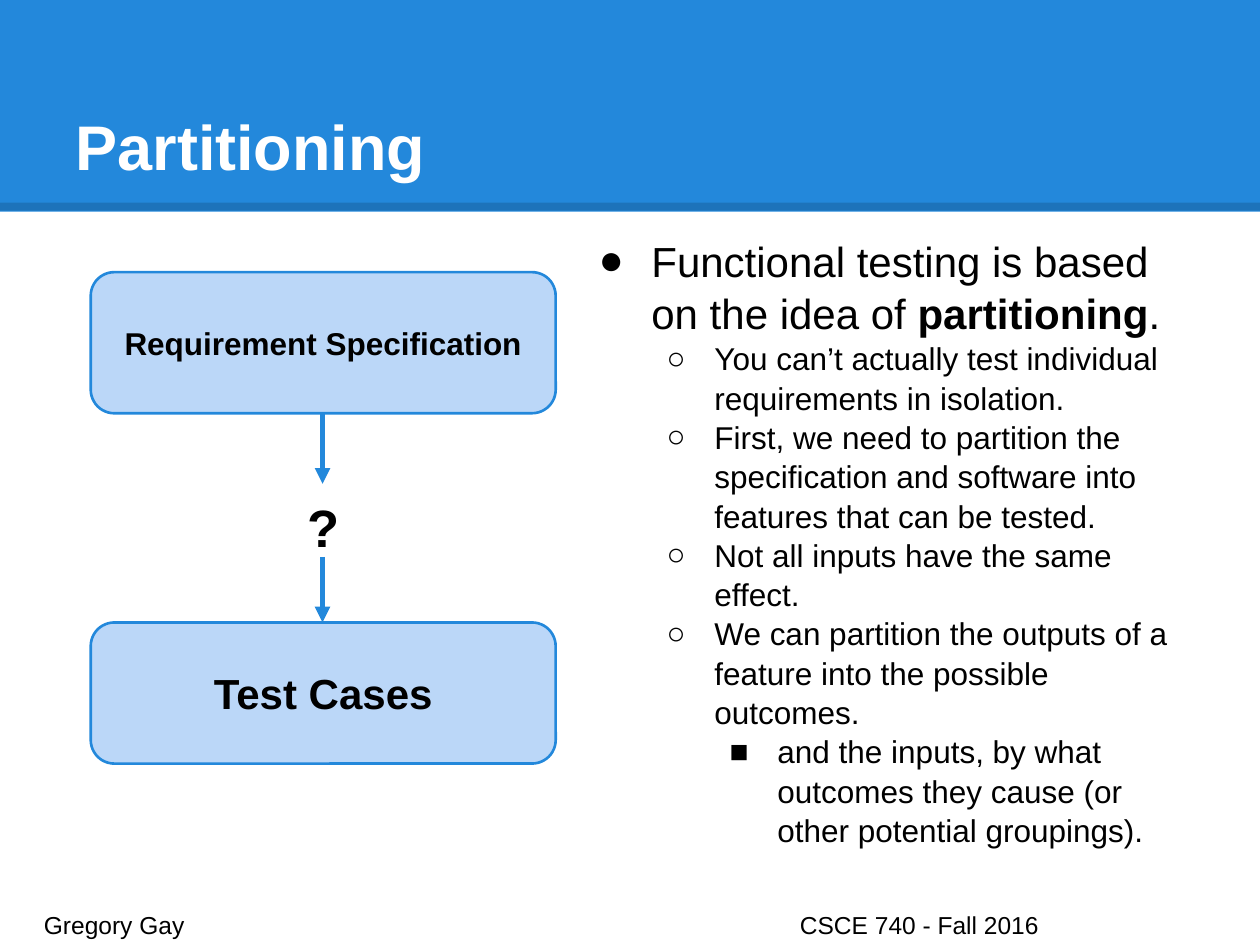
from lxml import etree
from pptx import Presentation
from pptx.dml.color import RGBColor
from pptx.enum import shapes, text
from pptx.oxml import ns
from pptx.util import Inches, Pt

BLUE = RGBColor(0x23, 0x88, 0xDB)
PALE_BLUE = RGBColor(0xBB, 0xD7, 0xF8)
WHITE = RGBColor(0xFF, 0xFF, 0xFF)
BLACK = RGBColor(0x00, 0x00, 0x00)

BULLETS = [
    (0, ["Functional testing is based on the idea of ", "partitioning", "."]),
    (1, ["You can’t actually test individual requirements in isolation."]),
    (1, ["First, we need to partition the specification and software into features that can be tested."]),
    (1, ["Not all inputs have the same effect."]),
    (1, ["We can partition the outputs of a feature into the possible outcomes."]),
    (2, ["and the inputs, by what outcomes they cause (or other potential groupings)."]),
]
LEVELS = [("●", 24, -0.42), ("○", 18, -0.38), ("■", 18, -0.38)]


def add_xml(parent, tag, **attributes):
    return etree.SubElement(parent, ns.qn(tag), attributes)


class SlideBuilder:
    """Draws styled elements on the current slide."""

    font = "Arial"
    margin = Inches(0.1)

    def __init__(self, page):
        self.page = page

    def frame(self, shape, anchor):
        frame = shape.text_frame
        frame.word_wrap = True
        frame.auto_size = text.MSO_AUTO_SIZE.NONE
        frame.vertical_anchor = anchor
        frame.margin_left = frame.margin_right = self.margin
        frame.margin_top = frame.margin_bottom = self.margin
        return frame

    def style(self, span, size, color=BLACK, bold=False):
        span.font.name = self.font
        span.font.size = Pt(size)
        span.font.color.rgb = color
        span.font.bold = bold

    def fill_text(self, shape, words, size, color=BLACK, bold=True,
                  align=text.PP_ALIGN.CENTER, anchor=text.MSO_ANCHOR.TOP):
        frame = self.frame(shape, anchor)
        frame.text = words
        para = frame.paragraphs[0]
        para.alignment = align
        for span in para.runs:
            self.style(span, size, color, bold)
        return para

    def place(self, shape, left, top, width, height):
        shape.left, shape.top = Inches(left), Inches(top)
        shape.width, shape.height = Inches(width), Inches(height)
        shape.element.getparent().append(shape.element)
        return shape

    def block(self, kind, fill, left, top, width, height):
        box = self.page.shapes.add_shape(
            kind, Inches(left), Inches(top), Inches(width), Inches(height))
        box.shadow.inherit = False
        box.fill.solid()
        box.fill.fore_color.rgb = fill
        box.line.fill.background()
        return box

    def line(self, start, end, color, width):
        line = self.page.shapes.add_connector(
            shapes.MSO_CONNECTOR.STRAIGHT, *map(Inches, start + end))
        line.line.color.rgb = color
        line.line.width = Pt(width)
        add_xml(line.element.spPr, "a:effectLst")
        return line

    def banner(self):
        self.block(shapes.MSO_SHAPE.RECTANGLE, BLUE, 0, 0, 10, 1.68)
        edge = self.line((0, 1.64), (10, 1.64), BLACK, 4.5)
        color = edge.element.spPr.find(".//" + ns.qn("a:srgbClr"))
        add_xml(color, "a:alpha", val="15000")

    def title(self, words):
        box = self.place(self.page.shapes.title, 0.5, 0.3, 9, 1.25)
        self.fill_text(box, words, 36, WHITE, align=text.PP_ALIGN.LEFT,
                       anchor=text.MSO_ANCHOR.BOTTOM)

    def stage(self, words, top, size):
        box = self.block(shapes.MSO_SHAPE.ROUNDED_RECTANGLE, PALE_BLUE,
                         0.72, top, 3.69, 1.12)
        box.adjustments[0] = 0.167
        box.line.color.rgb = BLUE
        box.line.width = Pt(1.5)
        self.fill_text(box, words, size, anchor=text.MSO_ANCHOR.MIDDLE)

    def arrow(self, top, bottom):
        arrow = self.line((2.56, top), (2.56, bottom), BLUE, 3)
        outline = arrow.element.spPr.find(ns.qn("a:ln"))
        add_xml(outline, "a:tailEnd", type="triangle")

    def label(self, words, size, left, top, width, height, **options):
        box = self.page.shapes.add_textbox(
            Inches(left), Inches(top), Inches(width), Inches(height))
        return self.fill_text(box, words, size, **options)

    def footer(self, words):
        para = self.label(words, 14, 0.25, 7.12, 9.51, 0.3, bold=False,
                          align=text.PP_ALIGN.LEFT)
        tabs = add_xml(para._p.get_or_add_pPr(), "a:tabLst")
        add_xml(tabs, "a:tab", pos=str(Inches(6)), algn="l")

    def bullet(self, para, level):
        mark, size, indent = LEVELS[level]
        para.level = level
        para.line_spacing = 1.04
        para.space_before = para.space_after = Pt(0)
        props = para._p.get_or_add_pPr()
        props.set("marL", str(Inches(0.5 * (level + 1))))
        props.set("indent", str(Inches(indent)))
        add_xml(add_xml(props, "a:buClr"), "a:srgbClr", val=str(BLACK))
        add_xml(props, "a:buSzPct", val="100000")
        add_xml(props, "a:buFont", typeface=self.font)
        add_xml(props, "a:buChar", char=mark)
        return size

    def body(self, items):
        box = self.place(self.page.placeholders[1], 4.57, 1.75, 4.93, 5.43)
        frame = self.frame(box, text.MSO_ANCHOR.TOP)
        for index, (level, pieces) in enumerate(items):
            para = frame.add_paragraph() if index else frame.paragraphs[0]
            size = self.bullet(para, level)
            for position, piece in enumerate(pieces):
                span = para.add_run()
                span.text = piece
                self.style(span, size, bold=position % 2 == 1)


def main():
    deck = Presentation()
    deck.slide_width, deck.slide_height = Inches(10), Inches(7.5)
    builder = SlideBuilder(deck.slides.add_slide(deck.slide_layouts[1]))
    builder.banner()
    builder.title("Partitioning")
    builder.stage("Requirement Specification", 2.16, 18)
    builder.stage("Test Cases", 4.94, 24)
    builder.arrow(3.28, 3.84)
    builder.arrow(4.42, 4.94)
    builder.label("?", 30, 2.24, 3.83, 0.65, 0.56)
    builder.footer("Gregory Gay\tCSCE 740 - Fall 2016")
    builder.body(BULLETS)
    deck.save("out.pptx")


if __name__ == "__main__":
    main()
